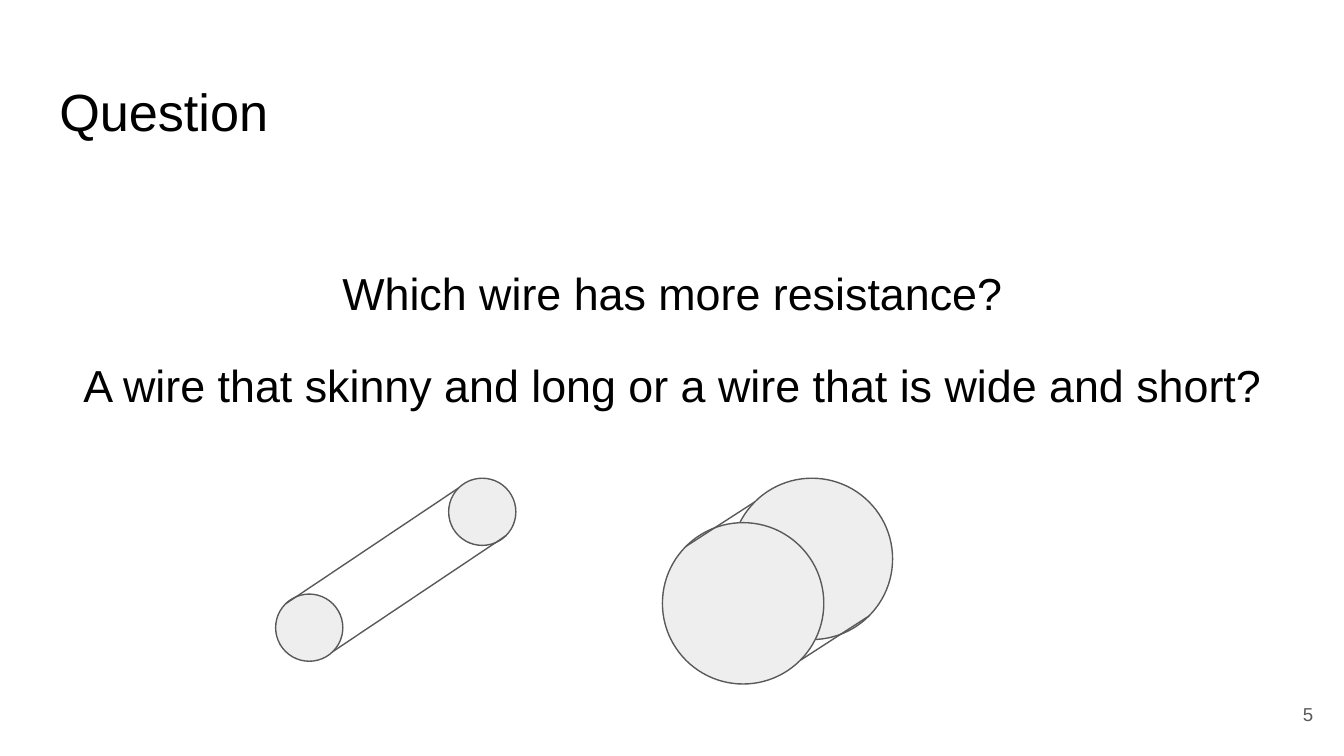
from math import sqrt

from lxml import etree
from pptx import Presentation
from pptx.dml.color import RGBColor
from pptx.enum.shapes import MSO_CONNECTOR, MSO_SHAPE
from pptx.enum.text import MSO_ANCHOR, MSO_AUTO_SIZE, PP_ALIGN
from pptx.oxml.ns import qn
from pptx.util import Cm, Pt

OVAL, LINE = MSO_SHAPE.OVAL, MSO_CONNECTOR.STRAIGHT
TOP, MIDDLE = MSO_ANCHOR.TOP, MSO_ANCHOR.MIDDLE
LEFT, CENTER, RIGHT = PP_ALIGN.LEFT, PP_ALIGN.CENTER, PP_ALIGN.RIGHT
BLACK = RGBColor(0x00, 0x00, 0x00)
GRAY = RGBColor(0x59, 0x59, 0x59)
PALE = RGBColor(0xEE, 0xEE, 0xEE)

TITLE = "Question"
LINES = [
    "Which wire has more resistance?",
    "A wire that skinny and long or a wire that is wide and short?",
]
NUMBER = "5"
# Each wire: diameter, then left and top of its two ends, back to front (cm)
WIRES = [
    (3.05, [(13.82, 9.04), (12.52, 9.88)]),
    (1.27, [(5.21, 11.23), (8.48, 9.04)]),
]


def write(shape, box, lines, size, color, align, anchor):
    shape.left, shape.top, shape.width, shape.height = map(Cm, box)
    frame = shape.text_frame
    frame.text = "\n".join(lines)
    frame.word_wrap = True
    frame.auto_size = MSO_AUTO_SIZE.NONE
    frame.vertical_anchor = anchor
    frame.margin_left = frame.margin_right = Cm(0.25)
    frame.margin_top = frame.margin_bottom = Cm(0.25)
    for para in frame.paragraphs:
        para.alignment = align
        para.space_before = Pt(0)
        para.font.name = "Arial"
        para.font.size = Pt(size)
        para.font.color.rgb = color
    return frame.paragraphs


def draw_wire(shapes, size, ends):
    """Draw both round ends, then the sides between their diagonal points."""
    for x, y in ends:
        disc = shapes.add_shape(OVAL, Cm(x), Cm(y), Cm(size), Cm(size))
        disc.shadow.inherit = False
        disc.fill.solid()
        disc.fill.fore_color.rgb = PALE
        disc.line.color.rgb = GRAY
        disc.line.width = Pt(0.75)
    inset = size / 2 * (1 - sqrt(0.5))
    for shift in (inset, size - inset):
        spots = [Cm(v + shift) for end in ends for v in end]
        side = shapes.add_connector(LINE, *spots)
        side.line.color.rgb = GRAY
        side.line.width = Pt(0.75)
        etree.SubElement(side._element.spPr, qn("a:effectLst"))


deck = Presentation()
deck.slide_width, deck.slide_height = Cm(25.4), Cm(14.29)
slide = deck.slides.add_slide(deck.slide_layouts[1])
shapes = slide.shapes

write(shapes.title, (0.87, 1.24, 23.67, 1.6), [TITLE], 28, BLACK, LEFT, TOP)

body = slide.placeholders[1]
paras = write(body, (0.87, 3.2, 23.67, 6.25), LINES, 24, BLACK, CENTER, MIDDLE)
for para in paras:
    props = para._p.get_or_add_pPr()
    props.set("marL", "0")
    props.set("indent", "0")
    para.line_spacing = 1.15
paras[1].space_before = paras[1].space_after = Pt(16)
for para in paras:
    props = para._p.get_or_add_pPr()
    props.find(qn("a:defRPr")).addprevious(etree.Element(qn("a:buNone")))

for size, ends in WIRES:
    draw_wire(shapes, size, ends)

note = shapes.add_textbox(0, 0, 0, 0)
write(note, (23.55, 12.95, 1.52, 1.09), [NUMBER], 10, GRAY, RIGHT, MIDDLE)

deck.save("out.pptx")
